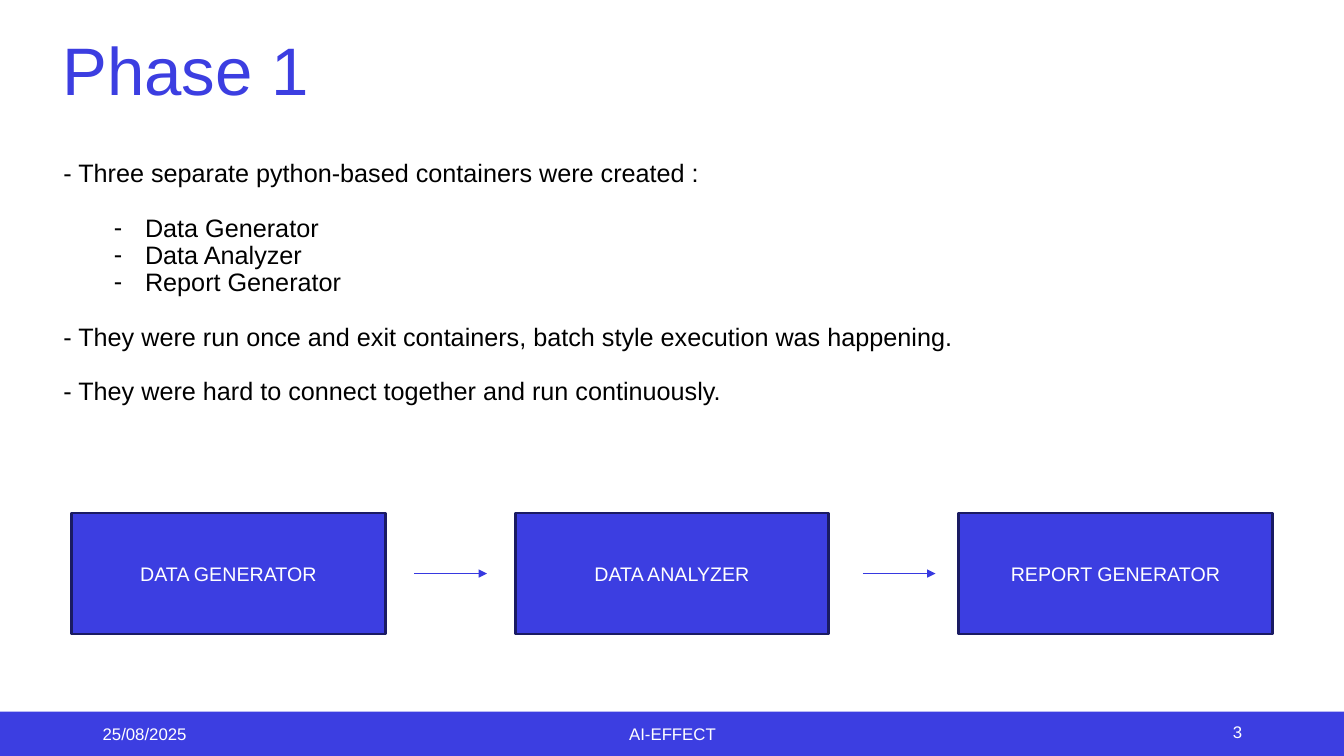
from dataclasses import dataclass

from lxml import etree
from pptx import Presentation
from pptx import util as u
from pptx.dml.color import RGBColor
from pptx.enum import shapes, text
from pptx.oxml import ns

COLORS = {"blue": "3C3EE1", "navy": "1A1B63", "arrow": "3739E0",
          "white": "FFFFFF", "black": "000000"}
FONT = "Arial"
WIDTH, HEIGHT = u.Inches(13.33), u.Inches(7.5)
LEFT, CENTER, RIGHT = text.PP_ALIGN.LEFT, text.PP_ALIGN.CENTER, text.PP_ALIGN.RIGHT


@dataclass(frozen=True)
class Area:
    """Percentages of the slide's width and height."""
    x: float
    y: float
    w: float
    h: float

    def emu(self) -> tuple[int, int, int, int]:
        return across(self.x), down(self.y), across(self.w), down(self.h)


@dataclass(frozen=True)
class Label:
    words: str
    area: Area
    size: int
    color: str = "white"
    align: text.PP_ALIGN = LEFT
    spacing: float = 1.0


@dataclass(frozen=True)
class Line:
    words: str
    bullet: bool = False
    gap: bool = False


def across(share: float) -> int:
    return round(WIDTH * share / 100)


def down(share: float) -> int:
    return round(HEIGHT * share / 100)


def rgb(name: str) -> RGBColor:
    return RGBColor.from_string(COLORS[name])


def add_run(p, words: str, size: int, color: str) -> None:
    r = p.add_run()
    r.text = words
    r.font.name, r.font.size = FONT, u.Pt(size)
    r.font.color.rgb = rgb(color)


def add_label(s, label: Label) -> None:
    tf = s.shapes.add_textbox(*label.area.emu()).text_frame
    tf.word_wrap = True
    tf.vertical_anchor = text.MSO_ANCHOR.MIDDLE
    p = tf.paragraphs[0]
    p.alignment, p.line_spacing = label.align, label.spacing
    add_run(p, label.words, label.size, label.color)


def add_rect(s, area: Area, border: str = "", words: str = "") -> None:
    sp = s.shapes.add_shape(shapes.MSO_SHAPE.RECTANGLE, *area.emu())
    sp.shadow.inherit = False
    sp.fill.solid()
    sp.fill.fore_color.rgb = rgb("blue")
    if border:
        sp.line.color.rgb = rgb(border)
        sp.line.width = u.Pt(2)
    else:
        sp.line.fill.background()
    if words:
        tf = sp.text_frame
        tf.vertical_anchor = text.MSO_ANCHOR.MIDDLE
        p = tf.paragraphs[0]
        p.alignment = CENTER
        add_run(p, words, 14, "white")


def add_arrow(s, x: float, y: float, length: float) -> None:
    c = s.shapes.add_connector(shapes.MSO_CONNECTOR.STRAIGHT,
                               across(x), down(y), across(x + length), down(y))
    c.line.color.rgb = rgb("arrow")
    c.line.width = u.Pt(0.75)
    etree.SubElement(c.line._get_or_add_ln(), ns.qn("a:tailEnd"), type="triangle")
    etree.SubElement(c._element.spPr, ns.qn("a:effectLst"))


def add_bullet(p) -> None:
    pPr = p._p.get_or_add_pPr()
    pPr.set("marL", str(u.Inches(0.81)))
    pPr.set("indent", str(u.Inches(-0.31)))
    etree.SubElement(pPr, ns.qn("a:buFont"), typeface=FONT)
    etree.SubElement(pPr, ns.qn("a:buChar"), char="-")


def add_body(s, area: Area, lines: list[Line]) -> None:
    tf = s.shapes.add_textbox(*area.emu()).text_frame
    tf.word_wrap = True
    for i, line in enumerate(lines):
        p = tf.add_paragraph() if i else tf.paragraphs[0]
        if line.bullet:
            add_bullet(p)
        p.line_spacing = 0.9
        if line.gap:
            p.space_before = u.Pt(19.4)
        add_run(p, line.words, 18, "black")


LABELS = [
    Label("25/08/2025", Area(6.9, 94.4, 22.5, 5.33), 12),
    Label("AI-EFFECT", Area(33.16, 94.4, 33.76, 5.33), 12, align=CENTER),
    Label("3", Area(70.67, 94.13, 22.5, 5.33), 12, align=RIGHT),
    Label("Phase 1", Area(3.9, 3.33, 92.2, 12.8), 48, "blue", spacing=0.9),
]
BODY = [
    Line("- Three separate python-based containers were created :"),
    Line("Data Generator", bullet=True, gap=True),
    Line("Data Analyzer", bullet=True),
    Line("Report Generator", bullet=True),
    Line("- They were run once and exit containers, batch style execution was happening.",
         gap=True),
    Line("- They were hard to connect together and run continuously.", gap=True),
]
STAGES = ["DATA GENERATOR", "DATA ANALYZER", "REPORT GENERATOR"]
STAGE = Area(5.33, 67.87, 23.33, 16)
STAGE_PITCH = 33
ARROW_X, ARROW_LENGTH, ARROW_PITCH = 30.83, 5.4, 33.38


def main() -> None:
    prs = Presentation()
    prs.slide_width, prs.slide_height = WIDTH, HEIGHT
    s = prs.slides.add_slide(prs.slide_layouts[6])
    add_rect(s, Area(0, 94.13, 100, 5.87))
    for label in LABELS:
        add_label(s, label)
    add_body(s, Area(3.98, 20.67, 92.12, 66.93), BODY)
    for i, stage in enumerate(STAGES):
        add_rect(s, Area(STAGE.x + i * STAGE_PITCH, STAGE.y, STAGE.w, STAGE.h),
                 "navy", stage)
    for i in range(len(STAGES) - 1):
        add_arrow(s, ARROW_X + i * ARROW_PITCH, STAGE.y + STAGE.h / 2, ARROW_LENGTH)
    prs.save("out.pptx")


if __name__ == "__main__":
    main()
